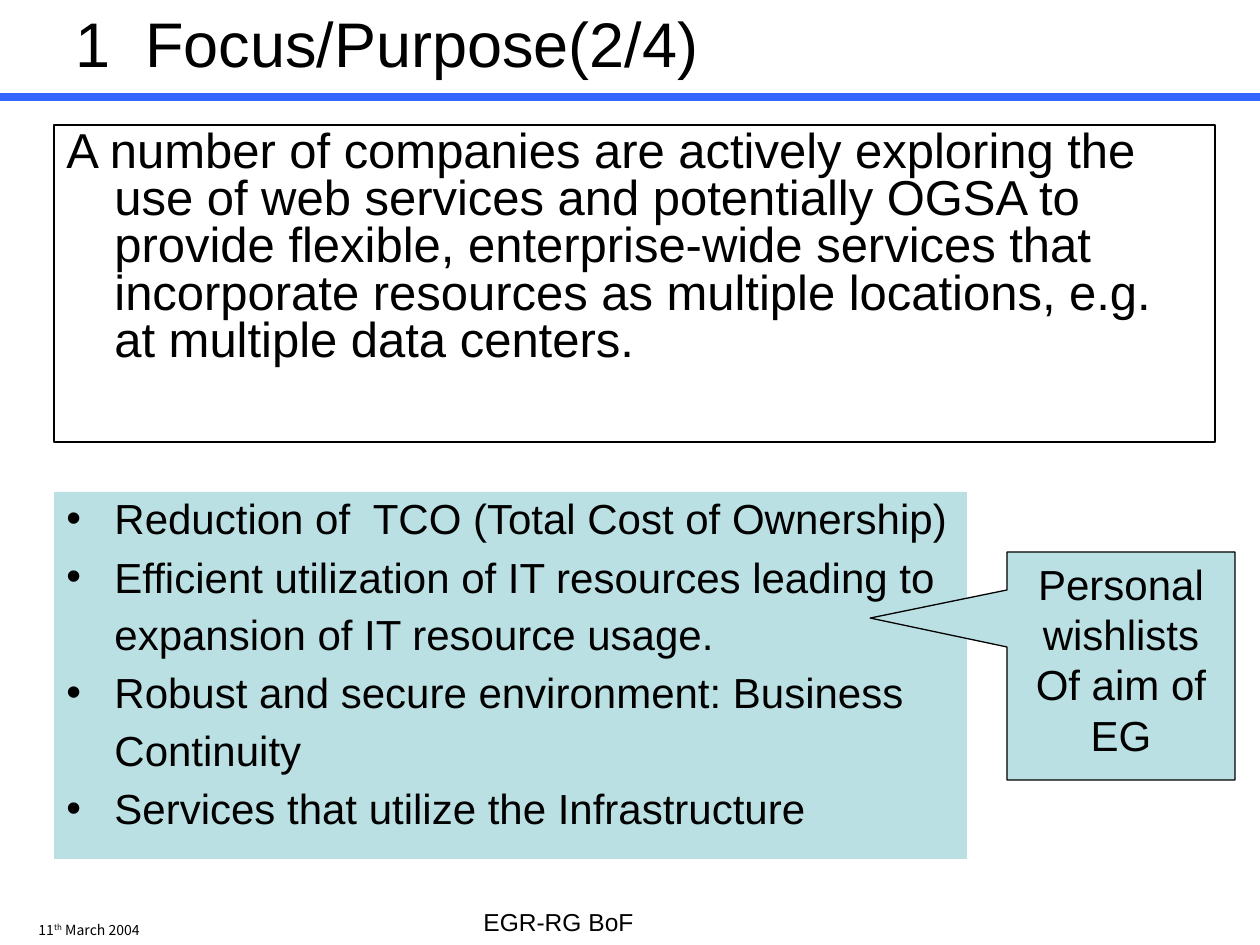
from lxml.etree import SubElement
from pptx import Presentation
from pptx.dml.color import RGBColor
from pptx.enum.shapes import MSO_CONNECTOR, MSO_SHAPE
from pptx.enum.text import MSO_ANCHOR, PP_ALIGN
from pptx.oxml.ns import qn
from pptx.util import Emu, Pt

BLACK = RGBColor(0x00, 0x00, 0x00)
BLUE = RGBColor(0x33, 0x66, 0xFF)
TEAL = RGBColor(0xBB, 0xE0, 0xE3)
INDENT = 48

FOCUS = (
    "A number of companies are actively exploring the use of web services "
    "and potentially OGSA to provide flexible, enterprise-wide services that "
    "incorporate resources as multiple locations, e.g. at multiple data centers."
)
AIMS = [
    "Reduction of  TCO (Total Cost of Ownership)",
    "Efficient utilization of IT resources leading to expansion of IT resource usage.",
    "Robust and secure environment: Business Continuity",
    "Services that utilize the Infrastructure",
]


def px(n):
    """Convert pixels to EMU."""
    return Emu(round(n * 914400 / 126))


def style_run(r, size, font="Arial"):
    """Set the font of a run."""
    r.font.size = Pt(size)
    r.font.name = font
    r.font.color.rgb = BLACK


def fill_text(sp, lines, size, align=PP_ALIGN.LEFT, anchor=MSO_ANCHOR.TOP, wrap=True):
    """Write one paragraph per line and return the paragraphs."""
    tf = sp.text_frame
    tf.word_wrap = wrap
    tf.vertical_anchor = anchor
    tf.text = "\n".join(lines)
    for p in tf.paragraphs:
        p.alignment = align
        for r in p.runs:
            style_run(r, size)
    return tf.paragraphs


def add_text(s, box, text, size, **options):
    """Add a one-line text box."""
    sp = s.shapes.add_textbox(*map(px, box))
    fill_text(sp, [text], size, **options)
    return sp


def add_box(s, kind, box, fill=None, line=None):
    """Add a preset shape with an optional fill and outline."""
    sp = s.shapes.add_shape(kind, *map(px, box))
    sp.shadow.inherit = False
    if fill is None:
        sp.fill.background()
    else:
        sp.fill.solid()
        sp.fill.fore_color.rgb = fill
    if line is None:
        sp.line.fill.background()
    else:
        sp.line.color.rgb = line
        sp.line.width = Pt(0.75)
    return sp


def hang(p, bullet=None):
    """Give a paragraph a hanging indent and an optional bullet."""
    pPr = p._p.get_or_add_pPr()
    pPr.set("marL", str(px(INDENT)))
    pPr.set("indent", str(-px(INDENT)))
    if bullet:
        SubElement(pPr, qn("a:buFont"), typeface="Arial")
        SubElement(pPr, qn("a:buChar"), char=bullet)


def add_rule(s, y):
    """Add the blue rule across the slide."""
    ln = s.shapes.add_connector(MSO_CONNECTOR.STRAIGHT, 0, px(y), px(1260), px(y))
    ln.line.color.rgb = BLUE
    ln.line.width = Pt(4.5)
    SubElement(ln._element.spPr, qn("a:effectLst"))


def add_date(s):
    """Add the date with its raised ordinal."""
    sp = add_text(s, (26, 915, 345, 30), "11", 8)
    p = sp.text_frame.paragraphs[0]
    for text in ("th", " March 2004"):
        p.add_run().text = text
    for r in p.runs:
        style_run(r, 8, "Noto Sans CJK JP")
    p.runs[1].font._element.set("baseline", "30000")


def add_focus(s):
    """Add the outlined focus statement."""
    sp = add_box(s, MSO_SHAPE.RECTANGLE, (54, 125, 1161, 317), line=BLACK)
    for p in fill_text(sp, [FOCUS], 28):
        hang(p)
        p.line_spacing = 0.8


def add_aims(s):
    """Add the bulleted aims."""
    sp = add_box(s, MSO_SHAPE.RECTANGLE, (54, 492, 913, 367), fill=TEAL)
    for i, p in enumerate(fill_text(sp, AIMS, 24)):
        hang(p, "•")
        p.line_spacing = 1.15 if i else 0.9


def add_callout(s):
    """Add the callout pointing at the aims."""
    sp = add_box(s, MSO_SHAPE.RECTANGULAR_CALLOUT, (1007, 552, 228, 228), TEAL, BLACK)
    sp.adjustments[0] = -1.1
    sp.adjustments[1] = -0.21
    fill_text(sp, ["Personal wishlists", "Of aim of EG"], 24, align=PP_ALIGN.CENTER)


def main():
    """Build the slide."""
    prs = Presentation()
    prs.slide_width, prs.slide_height = px(1260), px(945)
    s = prs.slides.add_slide(prs.slide_layouts[6])
    add_rule(s, 97)
    add_date(s)
    add_text(s, (471, 901, 181, 43), "EGR-RG BoF", 14, wrap=False)
    add_focus(s)
    add_aims(s)
    add_callout(s)
    add_text(s, (63, 0, 1134, 84), "1\u00a0 Focus/Purpose(2/4)".replace("\u00a0", " "), 36,
             anchor=MSO_ANCHOR.MIDDLE)
    prs.save("out.pptx")


if __name__ == "__main__":
    main()
